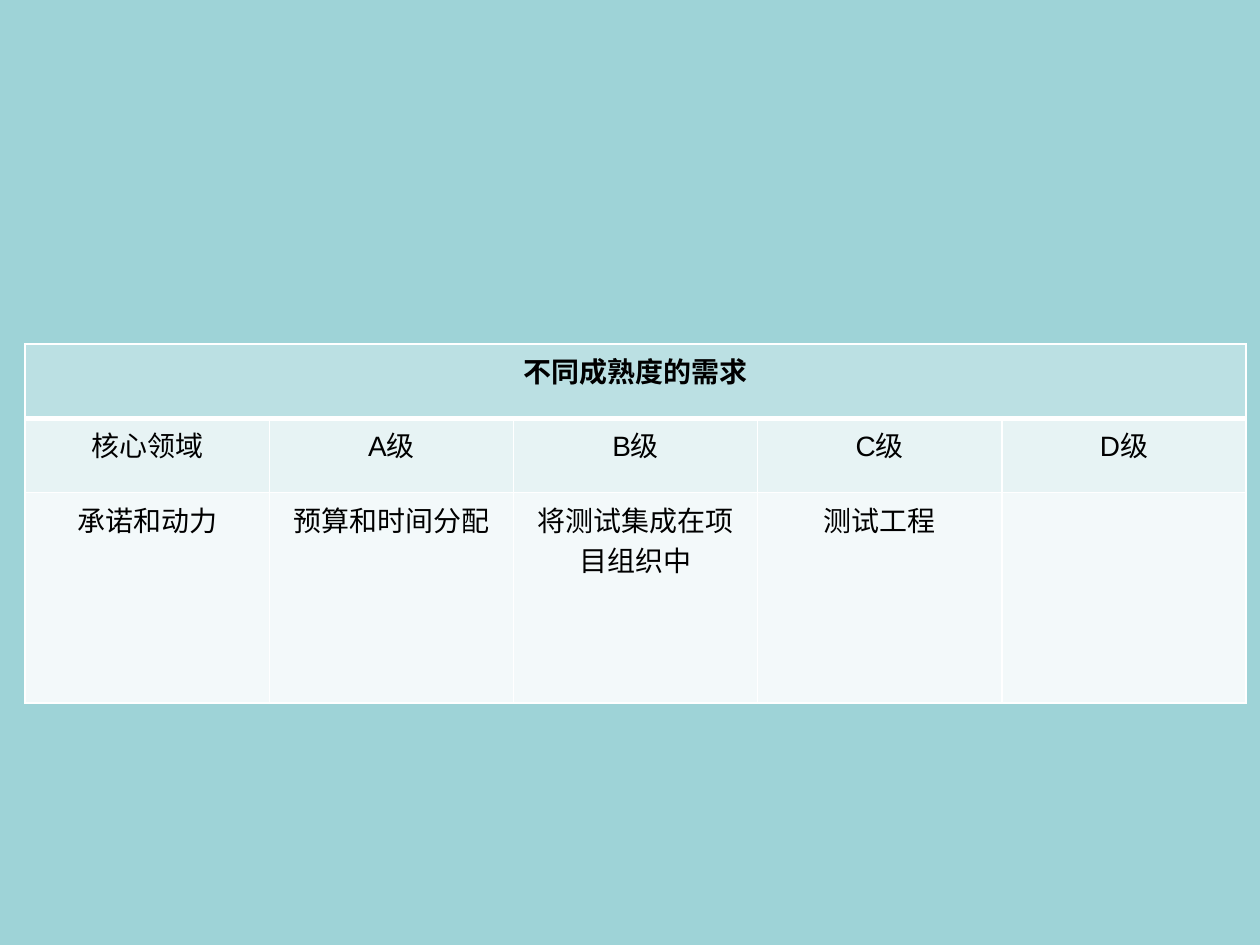
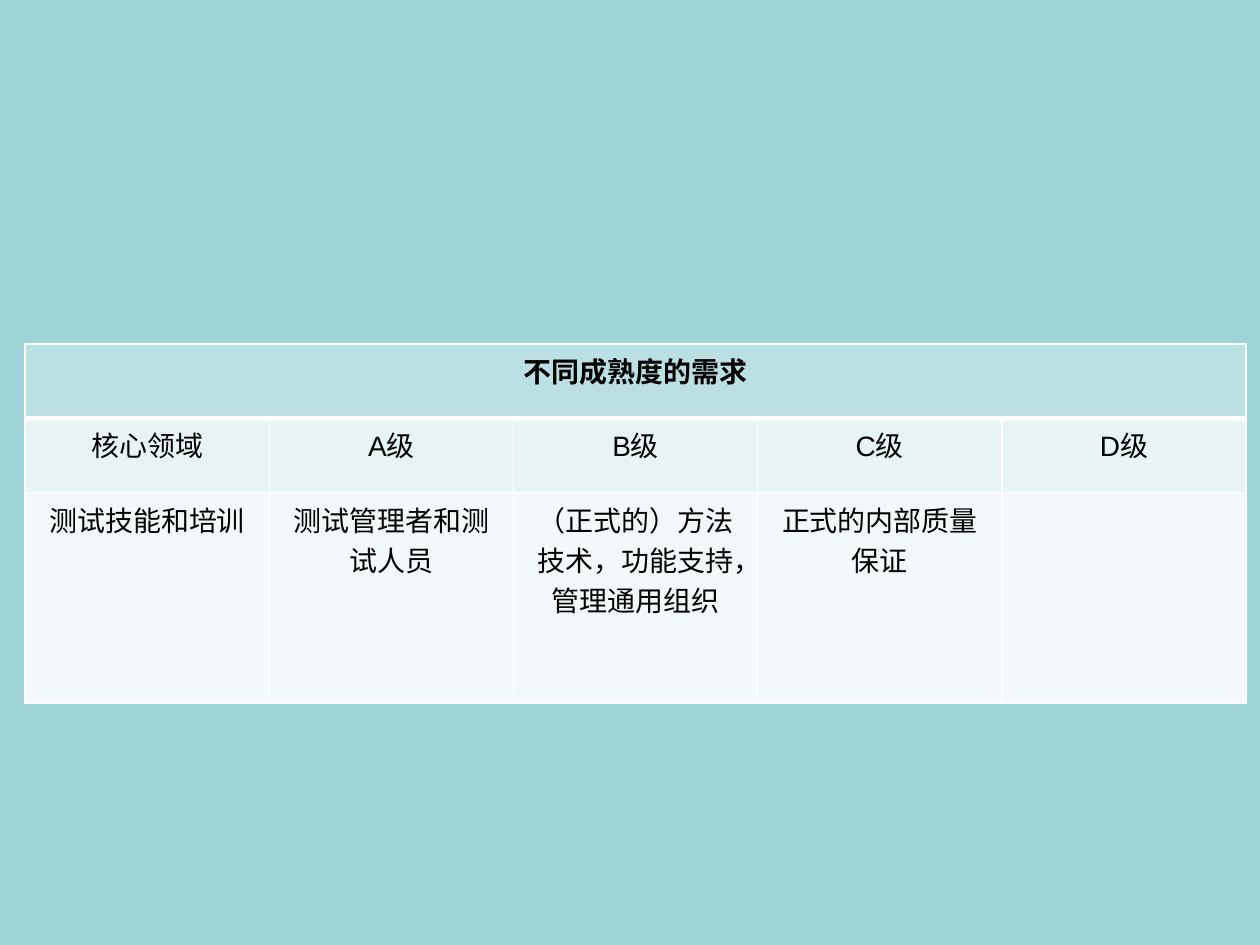
from lxml import etree
from pptx import Presentation
from pptx.dml.color import RGBColor
from pptx.enum.text import PP_ALIGN
from pptx.oxml.ns import qn
from pptx.util import Inches, Pt

CENTER = PP_ALIGN.CENTER
BACKGROUND = RGBColor(0x9E, 0xD3, 0xD7)
TITLE_FILL = RGBColor(0xBB, 0xE0, 0xE3)
HEADING_FILL = RGBColor(0xE7, 0xF3, 0xF4)
BODY_FILL = RGBColor(0xF3, 0xF9, 0xFA)
WHITE = RGBColor(0xFF, 0xFF, 0xFF)
BLACK = RGBColor(0x00, 0x00, 0x00)
FONT = "Arial"

# What both slides share
TABLE_BOX = (Inches(0.2), Inches(2.73), Inches(9.69), Inches(2.85))
ROW_HEIGHTS = (Inches(0.59), Inches(0.59), Inches(1.67))
ROW_FILLS = (TITLE_FILL, HEADING_FILL, BODY_FILL)
TITLE = "不同成熟度的需求"
HEADINGS = ["核心领域"] + [f"{level}级" for level in "ABCD"]

# The requirements row of each slide
REQUIREMENTS = [
    ["承诺和动力", "预算和时间分配", "将测试集成在项目组织中", "测试工程", ""],
    ["测试技能和培训", "测试管理者和测试人员",
     "（正式的）方法技术，功能支持，管理通用组织", "正式的内部质量保证", ""],
]


def set_borders(cell, top, bottom):
    """White borders; top and bottom widths are in points."""
    properties = cell._tc.get_or_add_tcPr()
    for side, width in (("L", 1), ("R", 1), ("T", top), ("B", bottom)):
        line = etree.SubElement(properties, qn(f"a:ln{side}"), w=str(Pt(width)))
        solid = etree.SubElement(line, qn("a:solidFill"))
        etree.SubElement(solid, qn("a:srgbClr"), val=str(WHITE))


def write_cell(cell, text, bold):
    para = cell.text_frame.paragraphs[0]
    para.alignment = CENTER
    if text:
        span = para.add_run()
        span.text = text
        span.font.name = FONT
        span.font.size = Pt(16)
        span.font.bold = bold
        span.font.color.rgb = BLACK


def add_maturity_table(page, box, requirements):
    left, top, width, height = box
    rows = [[TITLE] + [""] * (len(HEADINGS) - 1), HEADINGS, requirements]
    table = page.shapes.add_table(len(rows), len(HEADINGS), left, top, width, height).table
    for column in table.columns:
        column.width = width // len(HEADINGS)
    for r, texts in enumerate(rows):
        table.rows[r].height = ROW_HEIGHTS[r]
        for c, text in enumerate(texts):
            cell = table.cell(r, c)
            # A heavy rule separates the title from the headings
            set_borders(cell, top=3 if r == 1 else 1, bottom=3 if r == 0 else 1)
            cell.fill.solid()
            cell.fill.fore_color.rgb = ROW_FILLS[r]
            write_cell(cell, text, bold=r == 0)
    # The title spans every column
    table.cell(0, 0).merge(table.cell(0, len(HEADINGS) - 1))


def add_page(deck, requirements):
    page = deck.slides.add_slide(deck.slide_layouts[6])
    page.background.fill.solid()
    page.background.fill.fore_color.rgb = BACKGROUND
    add_maturity_table(page, TABLE_BOX, requirements)


deck = Presentation()
deck.slide_width = Inches(10)
deck.slide_height = Inches(7.5)
for requirements in REQUIREMENTS:
    add_page(deck, requirements)
deck.save("out.pptx")
